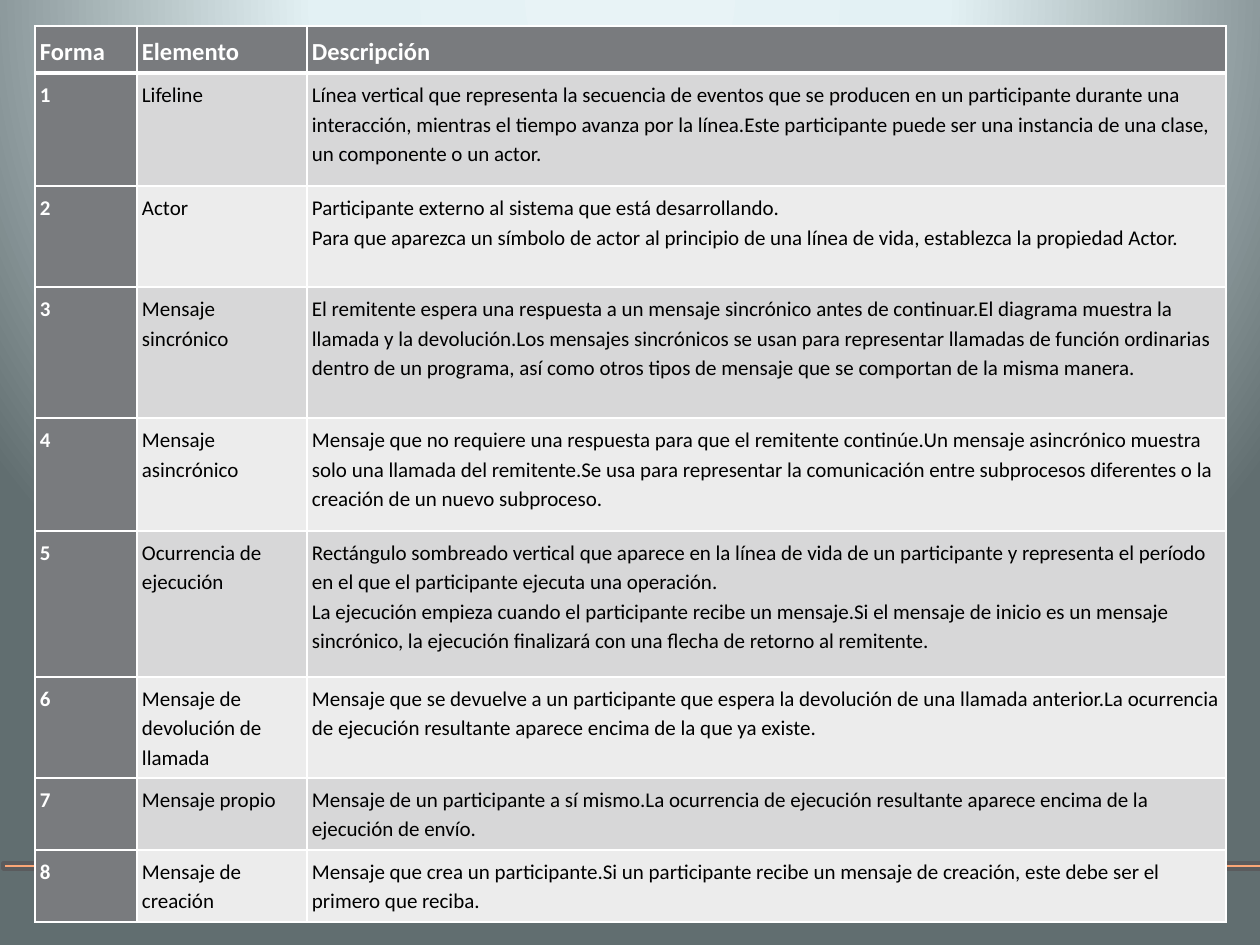
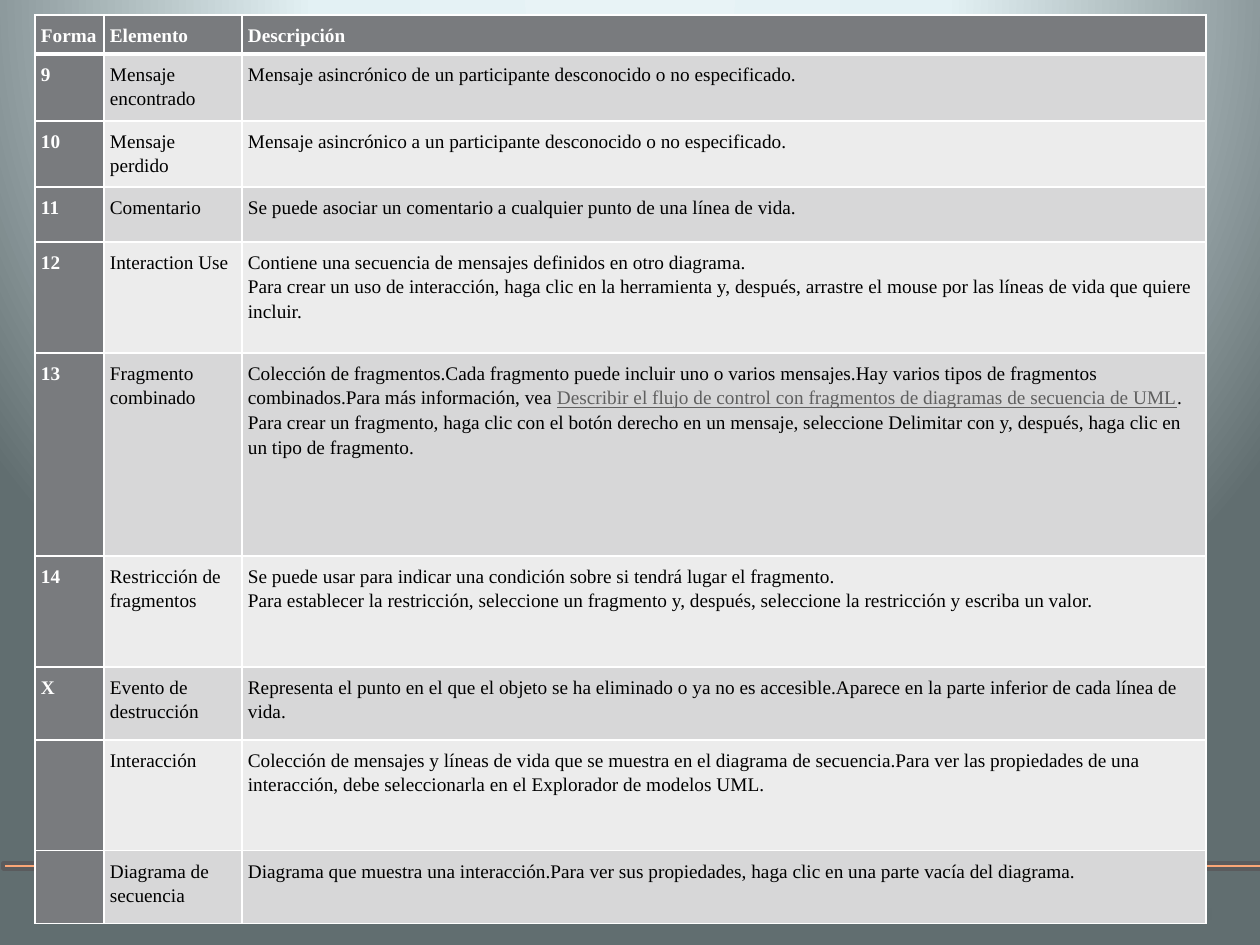
from dataclasses import dataclass

from lxml.etree import SubElement
from pptx import Presentation
from pptx.dml.color import RGBColor
from pptx.enum.shapes import MSO_SHAPE
from pptx.enum.text import MSO_ANCHOR
from pptx.oxml import parse_xml
from pptx.oxml.ns import nsdecls, qn
from pptx.util import Emu, Pt

EMU_PER_PX = 914400 / 126
EMU_PER_PT = 12700
COLORS = {
    "white": "FFFFFF",
    "black": "000000",
    "header": "797B7E",
    "band_dark": "D7D7D8",
    "band_light": "ECECEC",
    "link": "5F5F5F",
    "bar": "FBA676",
    "bar_line": "5A5B5D",
}
BACKGROUND_STOPS = ((0, "E8F3F6"), (40, "E3F1F4"), (100, "616E70"))
HEADINGS = ("Forma", "Elemento", "Descripción")
LINK = "Describir el flujo de control con fragmentos de diagramas de secuencia de UML"


@dataclass(frozen=True)
class ElementTable:
    """A table of diagram elements; lengths in px, sizes in points."""
    left: int
    top: int
    columns: tuple[int, ...]
    heights: tuple[int, ...]
    inset_x: int
    inset_y: int
    font: str
    heading_size: int
    body_size: int
    rows: tuple[tuple[str, str, str], ...]


TABLES = (
    ElementTable(
        left=35, top=26, columns=(102, 170, 919),
        heights=(47, 113, 101, 131, 113, 146, 101, 72, 72),
        inset_x=5, inset_y=6, font="Calibri", heading_size=14, body_size=12,
        rows=(
            ("1", "Lifeline",
             "Línea vertical que representa la secuencia de eventos que se producen en un "
             "participante durante una interacción, mientras el tiempo avanza por la "
             "línea.Este participante puede ser una instancia de una clase, un componente "
             "o un actor."),
            ("2", "Actor",
             "Participante externo al sistema que está desarrollando.\n"
             "Para que aparezca un símbolo de actor al principio de una línea de vida, "
             "establezca la propiedad Actor."),
            ("3", "Mensaje sincrónico",
             "El remitente espera una respuesta a un mensaje sincrónico antes de "
             "continuar.El diagrama muestra la llamada y la devolución.Los mensajes "
             "sincrónicos se usan para representar llamadas de función ordinarias dentro "
             "de un programa, así como otros tipos de mensaje que se comportan de la "
             "misma manera."),
            ("4", "Mensaje asincrónico",
             "Mensaje que no requiere una respuesta para que el remitente continúe.Un "
             "mensaje asincrónico muestra solo una llamada del remitente.Se usa para "
             "representar la comunicación entre subprocesos diferentes o la creación de "
             "un nuevo subproceso."),
            ("5", "Ocurrencia de ejecución",
             "Rectángulo sombreado vertical que aparece en la línea de vida de un "
             "participante y representa el período en el que el participante ejecuta una "
             "operación.\n"
             "La ejecución empieza cuando el participante recibe un mensaje.Si el mensaje "
             "de inicio es un mensaje sincrónico, la ejecución finalizará con una flecha "
             "de retorno al remitente."),
            ("6", "Mensaje de devolución de llamada",
             "Mensaje que se devuelve a un participante que espera la devolución de una "
             "llamada anterior.La ocurrencia de ejecución resultante aparece encima de la "
             "que ya existe."),
            ("7", "Mensaje propio",
             "Mensaje de un participante a sí mismo.La ocurrencia de ejecución resultante "
             "aparece encima de la ejecución de envío."),
            ("8", "Mensaje de creación",
             "Mensaje que crea un participante.Si un participante recibe un mensaje de "
             "creación, este debe ser el primero que reciba."),
        ),
    ),
    ElementTable(
        left=35, top=15, columns=(69, 138, 964),
        heights=(39, 67, 66, 55, 111, 203, 111, 73, 111, 73),
        inset_x=6, inset_y=7, font="Times New Roman", heading_size=11, body_size=11,
        rows=(
            ("9", "Mensaje encontrado",
             "Mensaje asincrónico de un participante desconocido o no especificado."),
            ("10", "Mensaje perdido",
             "Mensaje asincrónico a un participante desconocido o no especificado."),
            ("11", "Comentario",
             "Se puede asociar un comentario a cualquier punto de una línea de vida."),
            ("12", "Interaction Use",
             "Contiene una secuencia de mensajes definidos en otro diagrama.\n"
             "Para crear un uso de interacción, haga clic en la herramienta y, después, "
             "arrastre el mouse por las líneas de vida que quiere incluir."),
            ("13", "Fragmento combinado",
             "Colección de fragmentos.Cada fragmento puede incluir uno o varios "
             "mensajes.Hay varios tipos de fragmentos combinados.Para más información, "
             f"vea {LINK}.\n"
             "Para crear un fragmento, haga clic con el botón derecho en un mensaje, "
             "seleccione Delimitar con y, después, haga clic en un tipo de fragmento."),
            ("14", "Restricción de fragmentos",
             "Se puede usar para indicar una condición sobre si tendrá lugar el fragmento.\n"
             "Para establecer la restricción, seleccione un fragmento y, después, "
             "seleccione la restricción y escriba un valor."),
            ("X", "Evento de destrucción",
             "Representa el punto en el que el objeto se ha eliminado o ya no es "
             "accesible.Aparece en la parte inferior de cada línea de vida."),
            ("", "Interacción",
             "Colección de mensajes y líneas de vida que se muestra en el diagrama de "
             "secuencia.Para ver las propiedades de una interacción, debe seleccionarla "
             "en el Explorador de modelos UML."),
            ("", "Diagrama de secuencia",
             "Diagrama que muestra una interacción.Para ver sus propiedades, haga clic en "
             "una parte vacía del diagrama."),
        ),
    ),
)


def px(length: int) -> Emu:
    return Emu(round(length * EMU_PER_PX))


def color(name: str) -> RGBColor:
    return RGBColor.from_string(COLORS[name])


def set_background(master) -> None:
    """Give every page the round gradient centred above its top edge."""
    master.background.fill.solid()
    properties = master.element.xpath("p:cSld/p:bg/p:bgPr")[0]
    stops = "".join(
        f'<a:gs pos="{place * 1000}"><a:srgbClr val="{tone}"/></a:gs>'
        for place, tone in BACKGROUND_STOPS
    )
    properties[0] = parse_xml(
        f'<a:gradFill {nsdecls("a")} rotWithShape="1"><a:gsLst>{stops}</a:gsLst>'
        '<a:path path="circle"><a:fillToRect l="50000" t="-80000" r="50000" b="180000"/>'
        "</a:path></a:gradFill>"
    )


def draw_bar(page) -> None:
    """Draw the thin footer bar with its faint perspective shadow."""
    bar = page.shapes.add_shape(MSO_SHAPE.RECTANGLE, px(3), px(863), px(1260), px(6))
    bar.fill.solid()
    bar.fill.fore_color.rgb = color("bar")
    bar.line.color.rgb = color("bar_line")
    bar.line.width = Pt(2)
    bar.shadow.inherit = False
    effects = bar.element.spPr.find(qn("a:effectLst"))
    effects.append(parse_xml(
        f'<a:outerShdw {nsdecls("a")} blurRad="{12 * EMU_PER_PT}" dist="{25 * EMU_PER_PT}" '
        'dir="5400000" sx="90000" sy="-19000" rotWithShape="0">'
        f'<a:srgbClr val="{COLORS["black"]}"><a:alpha val="15000"/></a:srgbClr></a:outerShdw>'
    ))


def write_text(frame, text: str, *, font: str, size: int, tone: str, bold: bool) -> None:
    """Write one paragraph per line, marking the link title where it occurs."""
    for index, line in enumerate(text.split("\n")):
        para = frame.add_paragraph() if index else frame.paragraphs[0]
        para.line_spacing = 1.15
        para.font.size = Pt(size)
        for part in filter(None, line.partition(LINK)):
            span = para.add_run()
            span.text = part
            span.font.name = font
            span.font.size = Pt(size)
            span.font.bold = bold
            span.font.underline = part == LINK
            span.font.color.rgb = color("link" if part == LINK else tone)


def set_borders(cell, *, top: int = 1, bottom: int = 1) -> None:
    """Draw white cell borders, widths in points; they precede the fill."""
    properties = cell._tc.get_or_add_tcPr()
    widths = {"lnL": 1, "lnR": 1, "lnT": top, "lnB": bottom}
    for index, (side, width) in enumerate(widths.items()):
        border = SubElement(properties, qn(f"a:{side}"), w=str(width * EMU_PER_PT))
        fill = SubElement(border, qn("a:solidFill"))
        SubElement(fill, qn("a:srgbClr"), val=COLORS["white"])
        properties.insert(index, border)


def draw_table(page, spec: ElementTable) -> None:
    content = (HEADINGS, *spec.rows)
    table = page.shapes.add_table(
        len(content), len(spec.columns), px(spec.left), px(spec.top),
        px(sum(spec.columns)), px(sum(spec.heights)),
    ).table
    table.first_row = table.horz_banding = False
    for column, width in zip(table.columns, spec.columns):
        column.width = px(width)
    for row, height in zip(table.rows, spec.heights):
        row.height = px(height)

    for row_index, texts in enumerate(content):
        is_heading = row_index == 0
        band = "band_dark" if row_index % 2 else "band_light"
        for column_index, text in enumerate(texts):
            cell = table.cell(row_index, column_index)
            is_label = is_heading or column_index == 0
            cell.margin_left = cell.margin_right = px(spec.inset_x)
            cell.margin_top = cell.margin_bottom = px(spec.inset_y)
            cell.vertical_anchor = MSO_ANCHOR.MIDDLE if is_heading else MSO_ANCHOR.TOP
            cell.fill.solid()
            cell.fill.fore_color.rgb = color("header" if is_label else band)
            set_borders(cell, top=3 if row_index == 1 else 1, bottom=3 if is_heading else 1)
            write_text(
                cell.text_frame, text, font=spec.font, bold=is_label,
                size=spec.heading_size if is_heading else spec.body_size,
                tone="white" if is_label else "black",
            )


def main() -> None:
    deck = Presentation()
    deck.slide_width, deck.slide_height = px(1260), px(945)
    set_background(deck.slide_master)
    for spec in TABLES:
        page = deck.slides.add_slide(deck.slide_layouts[6])
        draw_bar(page)
        draw_table(page, spec)
    deck.save("out.pptx")


if __name__ == "__main__":
    main()
